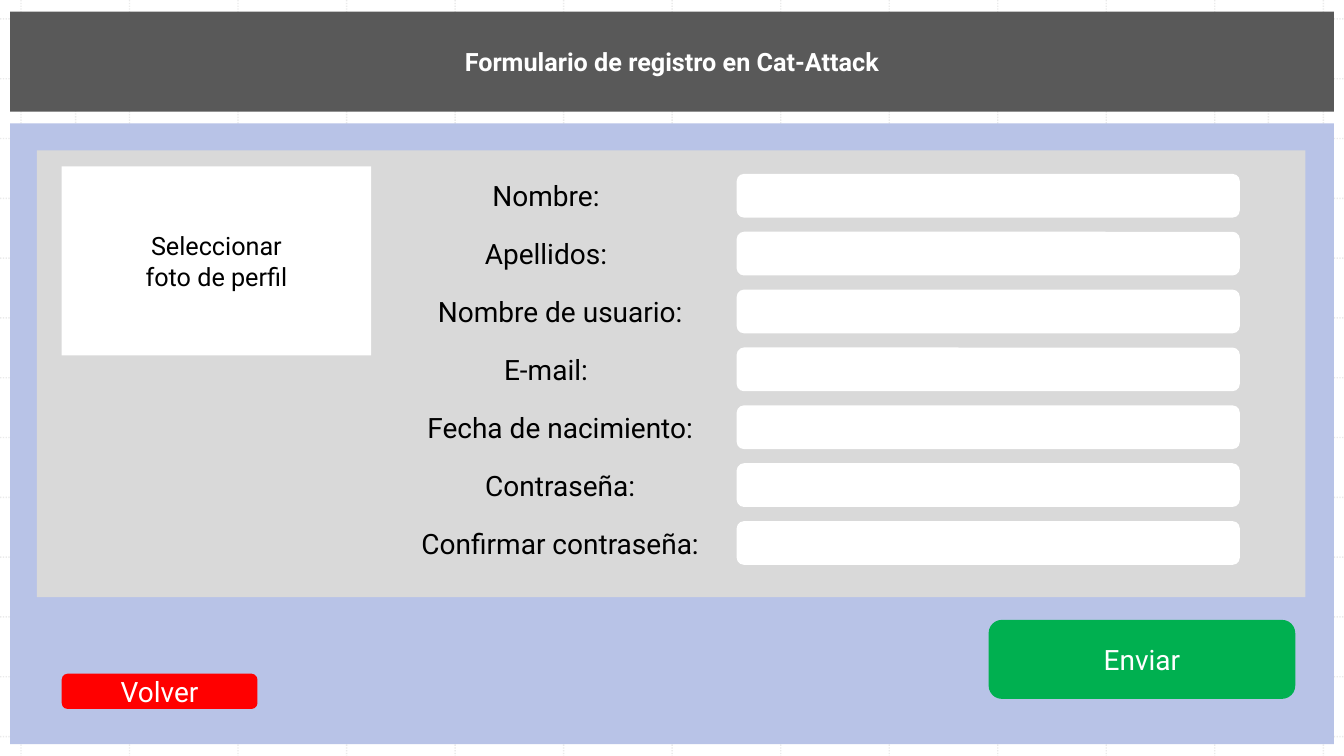
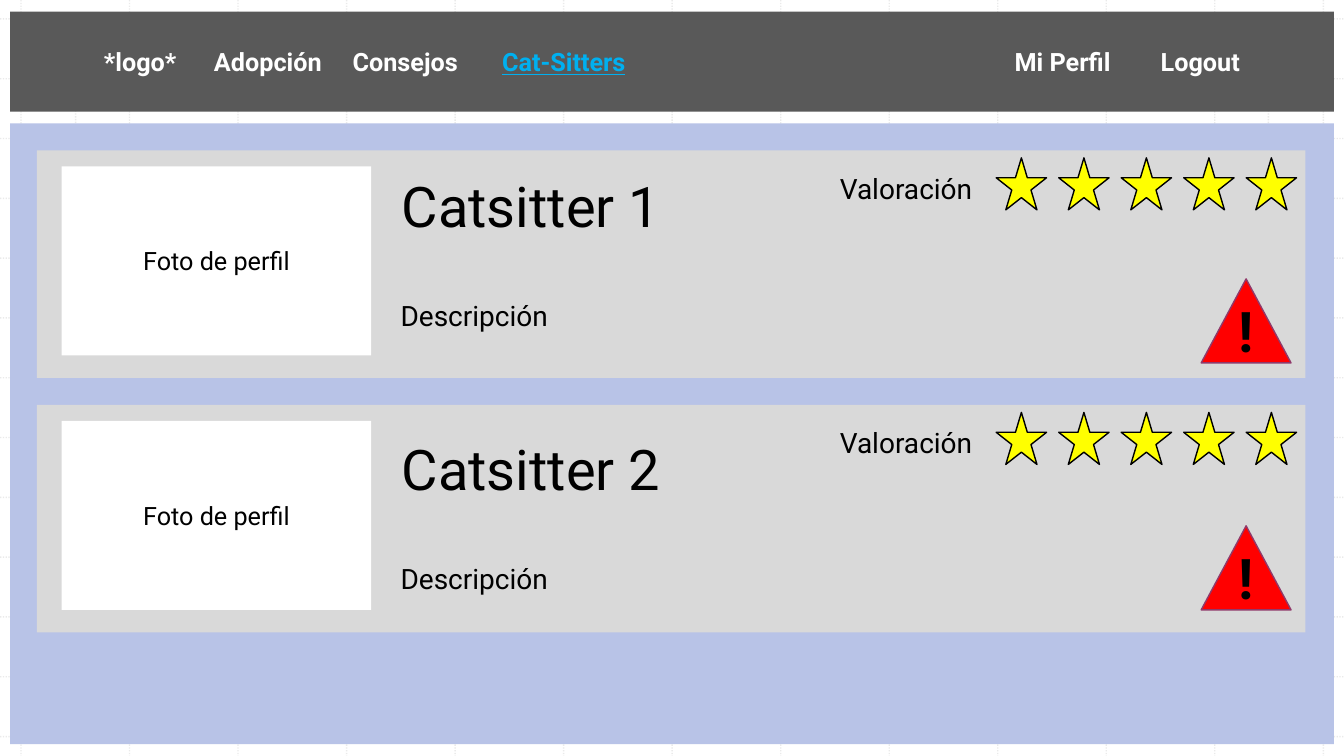
from lxml.etree import SubElement
from pptx import Presentation
from pptx.dml.color import RGBColor
from pptx.enum.dml import MSO_LINE
from pptx.enum.shapes import MSO_CONNECTOR, MSO_SHAPE as SHAPE
from pptx.enum.text import MSO_ANCHOR as ANCHOR, PP_ALIGN as ALIGN
from pptx.oxml.ns import qn
from pptx.util import Inches, Pt

COLORS = {
    "white": "FFFFFF", "black": "000000", "bar": "595959", "body": "B8C3E7",
    "card": "D9D9D9", "grid": "BCBCBC", "send": "00B050", "alert": "FF0000",
    "edge": "90396A", "star": "FFFF00", "active": "00B0F0",
}
FONT = "Roboto"
COLS, ROWS = 160, 90
BAR = (1.2, 1.4, 157.6, 11.9)
BODY = (1.2, 14.7, 157.6, 73.9)
CARD_X, CARD_Y, CARD_W = 4.4, 17.9, 151
LEFT = 7.35
LINE_H = 5.2


def rgb(name):
    return RGBColor.from_string(COLORS[name])


class Deck:
    def __init__(self, prs):
        self.prs = prs
        self.col = prs.slide_width / COLS
        self.row = prs.slide_height / ROWS
        self.s = None

    def box(self, x, y, w, h):
        return (round(x * self.col), round(y * self.row),
                round(w * self.col), round(h * self.row))

    def new_slide(self):
        self.s = self.prs.slides.add_slide(self.prs.slide_layouts[6])
        for i in range(13):
            x, y = 2.5 + 12.92 * i, 2.25 + 7.12 * i
            self.grid_line(x, 0, x, ROWS)
            self.grid_line(0, y, COLS, y)
        for x in (9, 151):
            self.grid_line(x, 2.25, x, 87.75)
        self.shape(SHAPE.RECTANGLE, BODY, "body")

    def grid_line(self, x1, y1, x2, y2):
        c = self.s.shapes.add_connector(
            MSO_CONNECTOR.STRAIGHT, *self.box(x1, y1, x2, y2))
        c.line.color.rgb = rgb("grid")
        c.line.width = Pt(1)
        c.line.dash_style = MSO_LINE.ROUND_DOT
        props = c.element.spPr
        color = next(props.iter(qn("a:srgbClr")))
        SubElement(color, qn("a:alpha"), val="30000")
        SubElement(props, qn("a:effectLst"))

    def shape(self, kind, at, fill, edge=None):
        sp = self.s.shapes.add_shape(kind, *self.box(*at))
        sp.shadow.inherit = False
        sp.fill.solid()
        sp.fill.fore_color.rgb = rgb(fill)
        if edge:
            sp.line.color.rgb = rgb(edge)
            sp.line.width = Pt(1)
        else:
            sp.line.fill.background()
        return sp

    def put_text(self, sp, text, size=20, color="black", bold=False,
                 align=ALIGN.CENTER, anchor=ANCHOR.MIDDLE, underline=False):
        tf = sp.text_frame
        tf.word_wrap = True
        tf.vertical_anchor = anchor
        tf.text = text
        for p in tf.paragraphs:
            p.alignment = align
            p.font.name = FONT
            p.font.size = Pt(size)
            p.font.bold = bold
            p.font.underline = underline
            p.font.color.rgb = rgb(color)

    def label(self, at, text, anchor=ANCHOR.TOP, **style):
        sp = self.s.shapes.add_textbox(*self.box(*at))
        self.put_text(sp, text, anchor=anchor, **style)

    def bar(self, title=""):
        sp = self.shape(SHAPE.RECTANGLE, BAR, "bar")
        if title:
            self.put_text(sp, title, size=18, color="white", bold=True)

    def nav(self, x, text, active=False):
        self.label((x, BAR[1], 20, BAR[3]), text, size=18, bold=True,
                   color="active" if active else "white", underline=active,
                   align=ALIGN.LEFT, anchor=ANCHOR.MIDDLE)

    def card(self, y, h):
        self.shape(SHAPE.RECTANGLE, (CARD_X, y, CARD_W, h), "card")

    def photo(self, card_y, text):
        sp = self.shape(SHAPE.RECTANGLE, (LEFT, card_y + 1.9, 36.85, 22.5), "white")
        self.put_text(sp, text, size=18)

    def button(self, at, text, fill):
        sp = self.shape(SHAPE.ROUNDED_RECTANGLE, at, fill)
        self.put_text(sp, text, color="white")

    def field(self, i, text, center):
        self.label((center - 20, 20.64 + 6.9 * i, 40, LINE_H), text)
        self.shape(SHAPE.ROUNDED_RECTANGLE,
                   (87.7, 20.7 + 6.89 * i, 59.9, LINE_H), "white")

    def rating(self, card_y):
        self.label((98.8, card_y + 1.9, 19.5, LINE_H), "Valoración",
                   align=ALIGN.LEFT)
        for i in range(5):
            self.shape(SHAPE.STAR_5_POINT,
                       (118.6 + 7.44 * i, card_y + 0.9, 6, 6.2), "star", "black")

    def warning(self, y):
        self.shape(SHAPE.ISOSCELES_TRIANGLE, (143, y, 10.7, 10), "alert", "edge")
        self.label((145.4, y + 1.5, 6, 9.2), "!", size=40, bold=True)

    def sitter(self, name, card_y, name_y, warning_y):
        self.card(card_y, 27.1)
        self.label((43.2, name_y, 40, 9.2), name, size=40)
        self.label((46.5, name_y + 15.2, 40, LINE_H), "Descripción",
                   align=ALIGN.LEFT)
        self.photo(card_y, "Foto de perfil")
        self.rating(card_y)
        self.warning(warning_y)


def register_slide(deck):
    deck.new_slide()
    deck.bar("Formulario de registro en Cat-Attack")
    deck.card(CARD_Y, 53.2)
    deck.photo(CARD_Y, "Seleccionar\nfoto de perfil")
    fields = [
        ("Nombre:", 65), ("Apellidos:", 65), ("Nombre de usuario:", 66.7),
        ("E-mail:", 65), ("Fecha de nacimiento:", 66.7),
        ("Contraseña:", 66.7), ("Confirmar contraseña:", 66.7),
    ]
    for i, (text, center) in enumerate(fields):
        deck.field(i, text, center)
    deck.button((117.7, 73.8, 36.5, 9.4), "Enviar", "send")
    deck.button((LEFT, 80.2, 23.3, 4.2), "Volver", "alert")


def sitters_slide(deck):
    deck.new_slide()
    deck.sitter("Catsitter 1", CARD_Y, 19.8, 33.2)
    deck.sitter("Catsitter 2", 48.2, 51.1, 62.6)
    deck.bar()
    deck.nav(11.2, "*logo*")
    deck.nav(24.3, "Adopción")
    deck.nav(40.8, "Consejos")
    deck.nav(58.6, "Cat-Sitters", active=True)
    deck.nav(119.6, "Mi Perfil")
    deck.nav(137, "Logout")


def main():
    prs = Presentation()
    prs.slide_width, prs.slide_height = Inches(13.33), Inches(7.5)
    deck = Deck(prs)
    register_slide(deck)
    sitters_slide(deck)
    prs.save("out.pptx")


if __name__ == "__main__":
    main()
